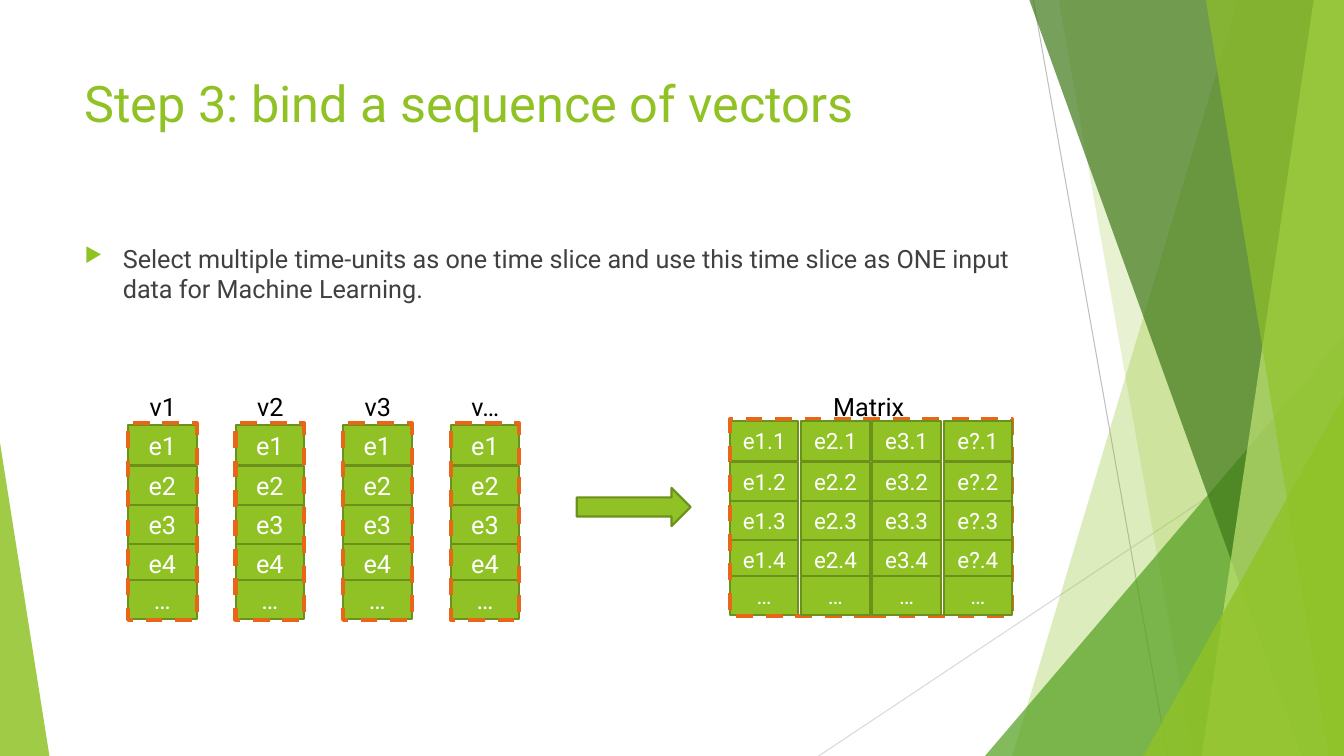
"""Build the slide on binding a sequence of vectors into a matrix."""
from dataclasses import dataclass

from lxml.etree import SubElement
from pptx import Presentation
from pptx.dml.color import RGBColor
from pptx.enum.dml import MSO_LINE
from pptx.enum.shapes import MSO_CONNECTOR, MSO_SHAPE
from pptx.enum.text import MSO_ANCHOR, PP_ALIGN
from pptx.oxml.ns import qn
from pptx.shapes.autoshape import Shape
from pptx.slide import Slide
from pptx.text.text import TextFrame
from pptx.util import Inches, Pt

WIDTH, HEIGHT = Inches(13.33), Inches(7.5)


@dataclass(frozen=True)
class Theme:
    font: str = "Roboto"
    green: str = "90C226"
    edge: str = "6B901C"
    leaf: str = "54A021"
    forest: str = "3F7819"
    lime: str = "C0E474"
    dash: str = "E76618"
    body: str = "404040"
    black: str = "000000"
    white: str = "FFFFFF"
    grey: str = "BFBFBF"
    pale_grey: str = "D9D9D9"
    title_size: float = 36
    text_size: float = 18
    matrix_size: float = 16
    hairline: float = 0.75
    cell_line: float = 1.5
    frame_line: float = 3


THEME = Theme()


@dataclass(frozen=True)
class Box:
    """A place on a grid of 100 columns by 100 rows."""
    col: float
    row: float
    cols: float
    rows: float

    def emu(self) -> tuple[int, int, int, int]:
        return x(self.col), y(self.row), x(self.cols), y(self.rows)


@dataclass(frozen=True)
class Ray:
    start: tuple[float, float]
    end: tuple[float, float]
    color: str


@dataclass(frozen=True)
class Band:
    """A facet reaching the right edge, slanting from top to bottom."""
    top: float
    bottom: float
    color: str
    opacity: int


@dataclass(frozen=True)
class Wedge:
    box: Box
    apex: float
    color: str
    opacity: int


@dataclass(frozen=True)
class Stack:
    """Columns of cells with a dashed frame and a label."""
    label: str
    label_col: float
    col: float
    row: float
    columns: list[list[str]]
    size: float


RAYS = [
    Ray((76.89, 0), (86.87, 100), THEME.grey),
    Ray((100, 53.73), (60.92, 100), THEME.pale_grey),
]
FACETS: list[Band | Wedge] = [
    Band(92.12, 75.32, THEME.green, 30),
    Band(78.77, 88.75, THEME.green, 20),
    Wedge(Box(73.29, 44.4, 26.71, 55.6), 1, THEME.leaf, 72),
    Band(76.59, 96.85, THEME.forest, 70),
    Band(97.75, 89.42, THEME.lime, 70),
    Band(89.72, 98.87, THEME.green, 65),
    Wedge(Box(85.07, 52.4, 14.93, 47.6), 1, THEME.green, 80),
    Wedge(Box(0, 58.53, 3.68, 41.47), 0, THEME.green, 85),
]
CELL_COLS, CELL_ROWS = 5.1, 5.2
CELL_OFFSETS = [0.27, 5.6, 10.8, 15.93, 20.67]
FRAME_ROWS = 26
VECTOR_PITCH, MATRIX_PITCH = 8, 5.3
LABEL_ROW, LABEL_COLS, LABEL_ROWS = 51.07, 8.03, 5.33
VECTORS = [
    Stack(f"v{n}", 8.1 + i * VECTOR_PITCH, 9.53 + i * VECTOR_PITCH, 56,
          [[f"e{k}" for k in range(1, 5)] + ["…"]], THEME.text_size)
    for i, n in enumerate("123…")
]
MATRIX = Stack("Matrix", 60.62, 54.31, 55.47,
               [[f"e{n}.{k}" for k in range(1, 5)] + ["…"] for n in "123?"],
               THEME.matrix_size)


def x(cols: float) -> int:
    return round(WIDTH * cols / 100)


def y(rows: float) -> int:
    return round(HEIGHT * rows / 100)


def rgb(color: str) -> RGBColor:
    return RGBColor.from_string(color)


def write(tf: TextFrame, text: str, size: float, color: str,
          align: PP_ALIGN = PP_ALIGN.LEFT) -> None:
    tf.word_wrap = True
    tf.text = text
    p = tf.paragraphs[0]
    p.alignment = align
    font = p.runs[0].font
    font.name, font.size, font.color.rgb = THEME.font, Pt(size), rgb(color)


def add_text(s: Slide, box: Box, text: str, size: float, color: str,
             align: PP_ALIGN = PP_ALIGN.LEFT) -> TextFrame:
    tf = s.shapes.add_textbox(*box.emu()).text_frame
    write(tf, text, size, color, align)
    return tf


def add_bullet(tf: TextFrame) -> None:
    p = tf.paragraphs[0]
    p.space_before = Pt(10)
    pPr = p._p.get_or_add_pPr()
    indent = Inches(0.38)
    pPr.set("marL", str(indent))
    pPr.set("indent", str(-indent))
    SubElement(SubElement(pPr, qn("a:buClr")), qn("a:srgbClr"), val=THEME.green)
    SubElement(pPr, qn("a:buSzPct"), val="80000")
    SubElement(pPr, qn("a:buChar"), char="▶")


def add_ray(s: Slide, ray: Ray) -> None:
    (x1, y1), (x2, y2) = ray.start, ray.end
    c = s.shapes.add_connector(MSO_CONNECTOR.STRAIGHT, x(x1), y(y1), x(x2), y(y2))
    c.line.color.rgb, c.line.width = rgb(ray.color), Pt(THEME.hairline)
    SubElement(c.element.spPr, qn("a:effectLst"))


def add_facet(s: Slide, facet: Band | Wedge) -> None:
    if isinstance(facet, Band):
        fb = s.shapes.build_freeform(x(facet.top), 0)
        fb.add_line_segments([(WIDTH, 0), (WIDTH, HEIGHT), (x(facet.bottom), HEIGHT)])
        sp = fb.convert_to_shape()
    else:
        sp = s.shapes.add_shape(MSO_SHAPE.ISOSCELES_TRIANGLE, *facet.box.emu())
        sp.adjustments[0] = facet.apex
    sp.shadow.inherit = False
    sp.line.fill.background()
    sp.fill.solid()
    sp.fill.fore_color.rgb = rgb(facet.color)
    clr = sp.element.spPr.find(qn("a:solidFill")).find(qn("a:srgbClr"))
    SubElement(clr, qn("a:alpha"), val=str(facet.opacity * 1000))


def add_block(s: Slide, kind: MSO_SHAPE, box: Box) -> Shape:
    sp = s.shapes.add_shape(kind, *box.emu())
    sp.shadow.inherit = False
    sp.fill.solid()
    sp.fill.fore_color.rgb = rgb(THEME.green)
    sp.line.color.rgb, sp.line.width = rgb(THEME.edge), Pt(THEME.cell_line)
    return sp


def add_column(s: Slide, stack: Stack, index: int) -> None:
    col = stack.col + index * MATRIX_PITCH
    for offset, text in zip(CELL_OFFSETS, stack.columns[index]):
        sp = add_block(s, MSO_SHAPE.RECTANGLE,
                       Box(col, stack.row + offset, CELL_COLS, CELL_ROWS))
        write(sp.text_frame, text, stack.size, THEME.white, PP_ALIGN.CENTER)
        sp.text_frame.vertical_anchor = MSO_ANCHOR.MIDDLE


def add_stack(s: Slide, stack: Stack) -> None:
    add_column(s, stack, 0)
    cols = (len(stack.columns) - 1) * MATRIX_PITCH + CELL_COLS
    sp = add_block(s, MSO_SHAPE.RECTANGLE, Box(stack.col, stack.row, cols, FRAME_ROWS))
    sp.fill.background()
    sp.line.color.rgb, sp.line.width = rgb(THEME.dash), Pt(THEME.frame_line)
    sp.line.dash_style = MSO_LINE.DASH
    add_text(s, Box(stack.label_col, LABEL_ROW, LABEL_COLS, LABEL_ROWS), stack.label,
             THEME.text_size, THEME.black, PP_ALIGN.CENTER)
    for index in range(1, len(stack.columns)):
        add_column(s, stack, index)


def main() -> None:
    prs = Presentation()
    prs.slide_width, prs.slide_height = WIDTH, HEIGHT
    s = prs.slides.add_slide(prs.slide_layouts[6])
    for ray in RAYS:
        add_ray(s, ray)
    for facet in FACETS:
        add_facet(s, facet)
    add_text(s, Box(5.55, 8.93, 70.52, 19.2), "Step 3: bind a sequence of vectors",
             THEME.title_size, THEME.green)
    add_bullet(add_text(
        s, Box(5.55, 31.47, 70.52, 12.13),
        "Select multiple time-units as one time slice and use this time slice "
        "as ONE input data for Machine Learning.", THEME.text_size, THEME.body))
    for vector in VECTORS:
        add_stack(s, vector)
    add_block(s, MSO_SHAPE.RIGHT_ARROW, Box(42.91, 64.53, 8.48, 5.07))
    add_stack(s, MATRIX)
    prs.save("out.pptx")


if __name__ == "__main__":
    main()
